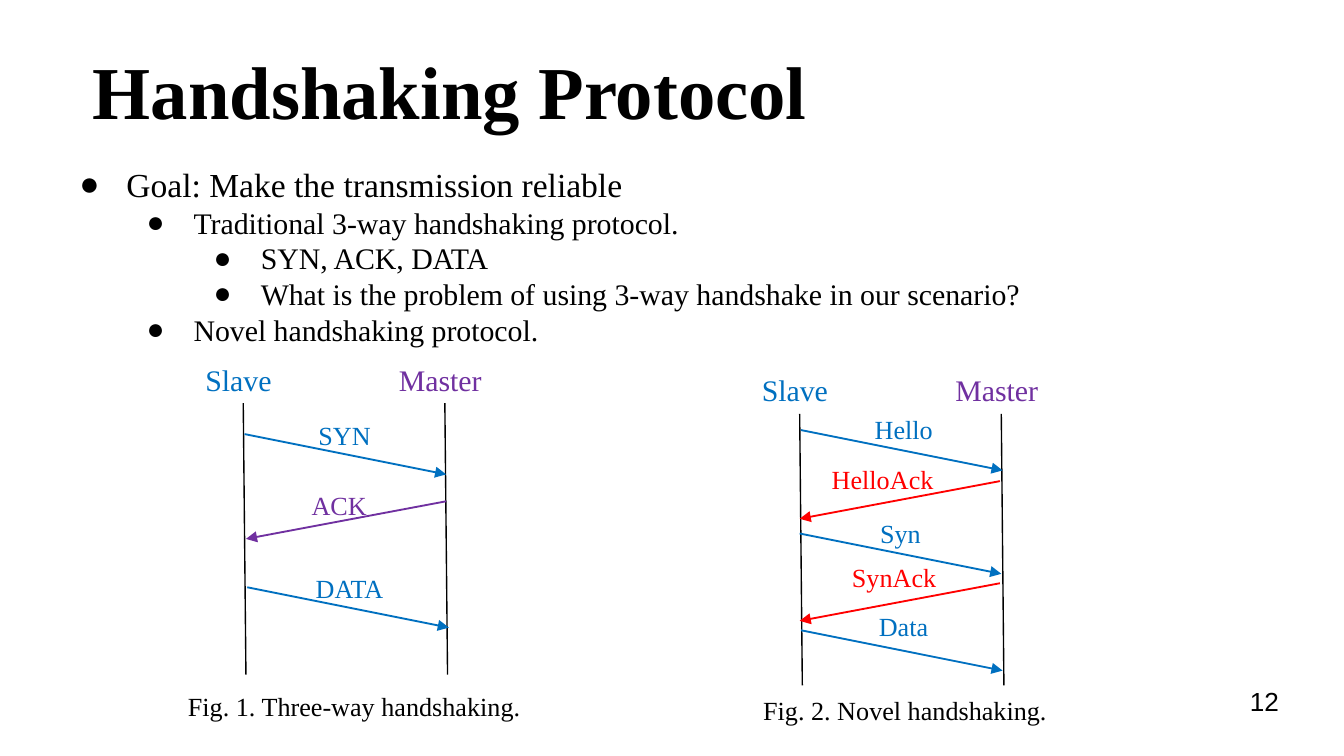
"""Build the handshaking protocol slide with its two sequence diagrams."""
import pptx
import pptx.dml.color
import pptx.enum.shapes
import pptx.enum.text
import pptx.oxml
import pptx.oxml.ns
import pptx.util

PX = 9144
BLACK = pptx.dml.color.RGBColor(0, 0, 0)
BLUE = pptx.dml.color.RGBColor(0x00, 0x70, 0xC0)
PURPLE = pptx.dml.color.RGBColor(0x70, 0x30, 0xA0)
RED = pptx.dml.color.RGBColor(0xFF, 0, 0)
SERIF = "Times New Roman"
ANCHOR = pptx.enum.text.MSO_ANCHOR
FIT = pptx.enum.text.MSO_AUTO_SIZE
LEFT = pptx.enum.text.PP_ALIGN.LEFT

deck = pptx.Presentation()
deck.slide_width = 1000 * PX
deck.slide_height = deck.slide_width * 9 // 16
slide = deck.slides.add_slide(deck.slide_layouts[1])


def write(text, box, shape=None, size=14, color=BLACK, font=SERIF,
          bold=False, inset=(10, 5), fit=FIT.SHAPE_TO_FIT_TEXT):
    if shape is None:
        shape = slide.shapes.add_textbox(0, 0, 0, 0)
    shape.left, shape.top, shape.width, shape.height = [n * PX for n in box]
    frame = shape.text_frame
    frame.text = text
    frame.word_wrap = True
    frame.auto_size = fit
    frame.vertical_anchor = ANCHOR.TOP
    frame.margin_left = frame.margin_right = inset[0] * PX
    frame.margin_top = frame.margin_bottom = inset[1] * PX
    for para in frame.paragraphs:
        para.alignment = LEFT
        para.space_before = pptx.util.Pt(0)
        face = para.runs[0].font
        face.name, face.size, face.bold = font, pptx.util.Pt(size), bold
        face.color.rgb = color
    return frame


def draw(start, end, color=BLACK, width=0.75, arrow=False):
    line = slide.shapes.add_connector(
        pptx.enum.shapes.MSO_CONNECTOR.STRAIGHT,
        *[n * PX for n in start + end])
    line.line.color.rgb = color
    line.line.width = pptx.util.Pt(width)
    if arrow:
        stroke = line.line._get_or_add_ln()
        tail = pptx.oxml.parse_xml(
            f'<a:tailEnd {pptx.oxml.ns.nsdecls("a")} type="triangle"/>')
        stroke.append(tail)
    line._element.spPr.append(pptx.oxml.parse_xml(
        f'<a:effectLst {pptx.oxml.ns.nsdecls("a")}/>'))


write("Handshaking Protocol", (59, 24, 932, 63), slide.shapes.title,
      size=40, bold=True, inset=(10, 9), fit=FIT.NONE)

points = [
    (0, "Goal: Make the transmission reliable"),
    (1, "Traditional 3-way handshaking protocol."),
    (2, "SYN, ACK, DATA"),
    (2, "What is the problem of using 3-way handshake in our scenario?"),
    (1, "Novel handshaking protocol."),
]
body = write("\n".join(text for level, text in points), (34, 97, 932, 448),
             slide.placeholders[1], size=16, inset=(10, 10), fit=FIT.NONE)
for para, (level, text) in zip(body.paragraphs, points):
    para.level = level
    para.line_spacing = 1.0 if level else 1.5
    props = para._p.get_or_add_pPr()
    props.set("marL", str(50 * (level + 1) * PX))
    props.set("indent", str(-35 * PX))
    for mark in (f'buFont {pptx.oxml.ns.nsdecls("a")} typeface="{SERIF}"',
                 f'buChar {pptx.oxml.ns.nsdecls("a")} char="●"'):
        props.append(pptx.oxml.parse_xml(f"<a:{mark}/>"))
body.paragraphs[0].runs[0].font.size = pptx.util.Pt(18)

page = write("12", (927, 510, 60, 43), font="Arial", inset=(0, 0),
             fit=FIT.NONE)
page.paragraphs[0]._p.get_or_add_pPr().set("marL", str(3 * PX))

figures = [
    (181, 300, "Fig. 1. Three-way handshaking.", (130, 509, 286, 34), [
        ("SYN", (227, 307, 68, 34), (182, 323), BLUE),
        ("ACK", (222, 359, 68, 34), (332, 373), PURPLE),
        ("DATA", (225, 421, 78, 34), (184, 437), BLUE),
    ]),
    (595, 308, "Fig. 2. Novel handshaking.", (558, 512, 232, 34), [
        ("Hello", (641, 303, 66, 34), (596, 320), BLUE),
        ("HelloAck", (609, 340, 111, 34), (744, 358), RED),
        ("Syn", (645, 380, 66, 34), (595, 397), BLUE),
        ("SynAck", (624, 413, 98, 34), (744, 434), RED),
        ("Data", (644, 449, 78, 34), (596, 469), BLUE),
    ]),
]
for left, top, title, place, calls in figures:
    for x in (left, left + 150):
        draw((x, top), (x + 2, top + 202))
    write("Slave", (left - 38, top - 36, 81, 37), size=16, color=BLUE)
    write("Master", (left + 106, top - 36, 89, 37), size=16, color=PURPLE)
    for name, box, (x, y), color in calls:
        end = (x + 150, y + 30) if color == BLUE else (x - 149, y + 28)
        draw((x, y), end, color, 1, arrow=True)
        write(name, box, color=color)
    write(title, place)

deck.save("out.pptx")
